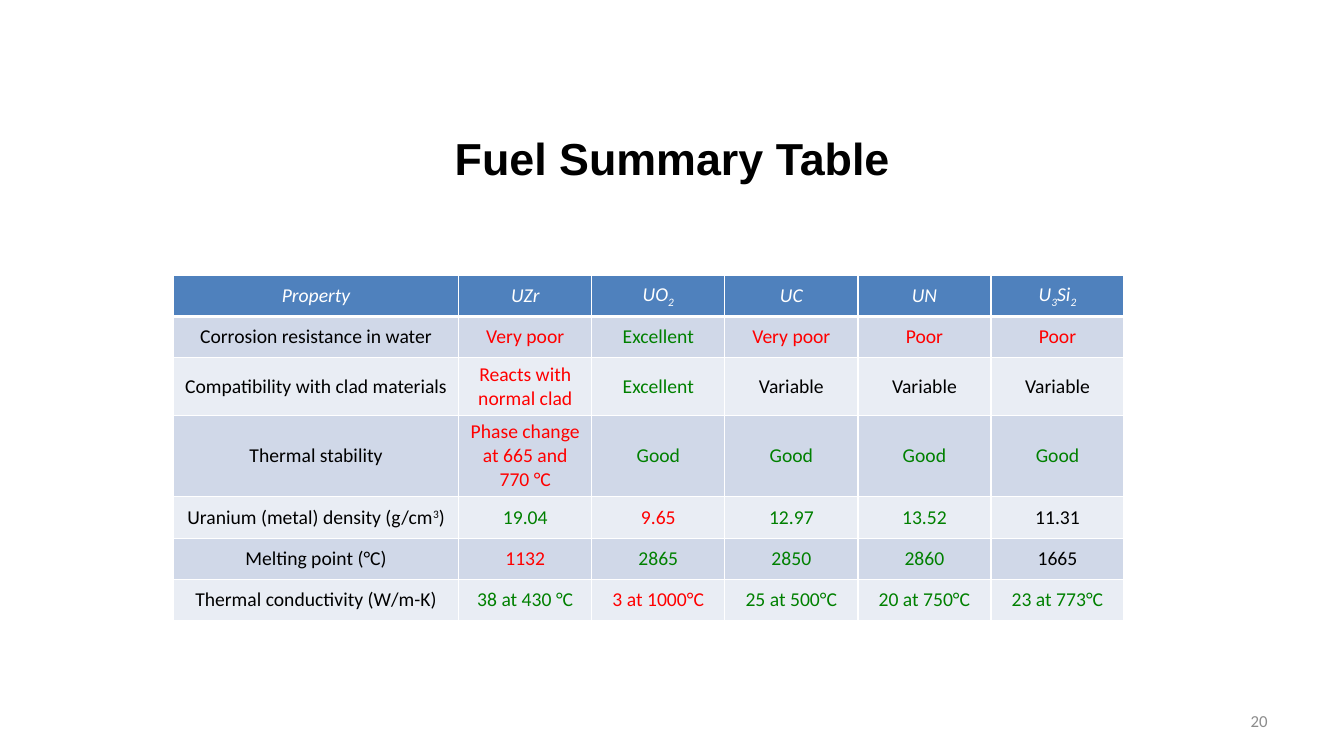
"""Build the fuel summary table slide."""
import lxml.etree
import pptx
import pptx.dml.color
import pptx.enum.text
import pptx.oxml.ns
import pptx.util

Inches = pptx.util.Inches
RGBColor = pptx.dml.color.RGBColor
ALIGN = pptx.enum.text.PP_ALIGN
MIDDLE = pptx.enum.text.MSO_ANCHOR.MIDDLE

BLACK = RGBColor(0x00, 0x00, 0x00)
WHITE = RGBColor(0xFF, 0xFF, 0xFF)
RED = RGBColor(0xFF, 0x00, 0x00)
GREEN = RGBColor(0x00, 0x80, 0x00)
GRAY = RGBColor(0x8C, 0x8C, 0x8C)
HEADER_BLUE = RGBColor(0x4F, 0x81, 0xBD)
BANDS = (RGBColor(0xD0, 0xD8, 0xE8), RGBColor(0xE9, 0xED, 0xF4))

TITLE = "Fuel Summary Table"
PAGE_NUMBER = "20"
BASELINES = {"_": "-25000", "^": "30000"}
RATINGS = {"R": RED, "G": GREEN, "K": BLACK, "W": WHITE}

ROWS = [
    (0.41, "WWWWWW", [["Property"], ["UZr"], ["UO", "_2"], ["UC"], ["UN"],
                      ["U", "_3", "Si", "_2"]]),
    (0.41, "KRGRRR", [["Corrosion resistance in water"], ["Very poor"], ["Excellent"],
                      ["Very poor"], ["Poor"], ["Poor"]]),
    (0.57, "KRGKKK", [["Compatibility with clad materials"], ["Reacts with normal clad"],
                      ["Excellent"], ["Variable"], ["Variable"], ["Variable"]]),
    (0.81, "KRGGGG", [["Thermal stability"], ["Phase change at 665 and 770 °C"],
                      ["Good"], ["Good"], ["Good"], ["Good"]]),
    (0.41, "KGRGGK", [["Uranium (metal) density (g/cm", "^3", ")"], ["19.04"], ["9.65"],
                      ["12.97"], ["13.52"], ["11.31"]]),
    (0.41, "KRGGGK", [["Melting point (°C)"], ["1132"], ["2865"], ["2850"], ["2860"],
                      ["1665"]]),
    (0.41, "KGRGGG", [["Thermal conductivity (W/m-K)"], ["38 at 430 °C"], ["3 at 1000°C"],
                      ["25 at 500°C"], ["20 at 750°C"], ["23 at 773°C"]]),
]
COLUMN_WIDTHS = [2.83] + [1.32] * 5
TABLE_LEFT, TABLE_TOP = 1.72, 2.73


def style_font(font, name, size, color, bold=False, italic=False):
    font.name = name
    font.size = pptx.util.Pt(size)
    font.color.rgb = color
    font.bold = bold
    font.italic = italic


def add_text(slide, text, box, alignment, *font_style):
    shape = slide.shapes.add_textbox(*map(Inches, box))
    frame = shape.text_frame
    frame.word_wrap = True
    frame.vertical_anchor = MIDDLE
    frame.text = text
    paragraph = frame.paragraphs[0]
    paragraph.alignment = alignment
    style_font(paragraph.runs[0].font, *font_style)


def add_borders(cell, is_header):
    properties = cell._tc.get_or_add_tcPr()
    for side in "LRTB":
        points = 3 if is_header and side == "B" else 1
        line = lxml.etree.SubElement(properties, pptx.oxml.ns.qn(f"a:ln{side}"),
                                     w=str(pptx.util.Pt(points)))
        fill = lxml.etree.SubElement(line, pptx.oxml.ns.qn("a:solidFill"))
        lxml.etree.SubElement(fill, pptx.oxml.ns.qn("a:srgbClr"), val=str(WHITE))


def fill_cell(cell, parts, color, row_index):
    is_header = row_index == 0
    add_borders(cell, is_header)
    cell.fill.solid()
    cell.fill.fore_color.rgb = HEADER_BLUE if is_header else BANDS[(row_index - 1) % 2]
    cell.vertical_anchor = MIDDLE
    paragraph = cell.text_frame.paragraphs[0]
    paragraph.alignment = ALIGN.CENTER
    for part in parts:
        run = paragraph.add_run()
        run.text = part.lstrip("_^")
        style_font(run.font, "Calibri", 14, color, italic=is_header)
        if part[0] in BASELINES:
            run.font._element.set("baseline", BASELINES[part[0]])


def add_fuel_table(slide):
    height = sum(row[0] for row in ROWS)
    table = slide.shapes.add_table(
        len(ROWS), len(COLUMN_WIDTHS), Inches(TABLE_LEFT), Inches(TABLE_TOP),
        Inches(sum(COLUMN_WIDTHS)), Inches(height)).table
    for column, width in zip(table.columns, COLUMN_WIDTHS):
        column.width = Inches(width)
    for row_index, (row_height, ratings, cells) in enumerate(ROWS):
        table.rows[row_index].height = Inches(row_height)
        for column_index, (rating, parts) in enumerate(zip(ratings, cells)):
            fill_cell(table.cell(row_index, column_index), parts, RATINGS[rating], row_index)


def main():
    presentation = pptx.Presentation()
    presentation.slide_width = Inches(13.33)
    presentation.slide_height = Inches(7.5)
    slide = presentation.slides.add_slide(presentation.slide_layouts[6])
    add_text(slide, TITLE, (0.67, 0.98, 12, 1.17), ALIGN.CENTER, "Arial", 32, BLACK, True)
    add_fuel_table(slide)
    add_text(slide, PAGE_NUMBER, (9.56, 6.95, 3.11, 0.4), ALIGN.RIGHT, "Calibri", 12, GRAY)
    presentation.save("out.pptx")


if __name__ == "__main__":
    main()
